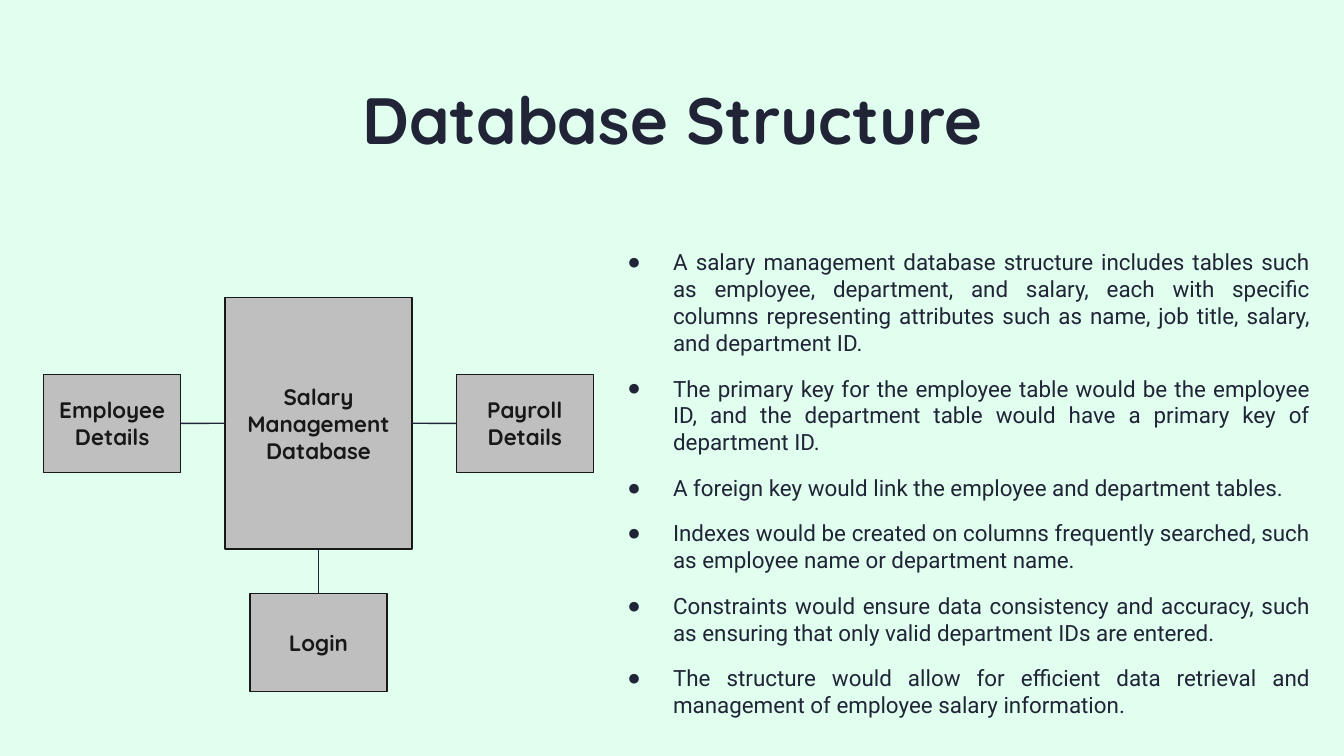
from lxml import etree
from pptx import Presentation
from pptx.dml.color import RGBColor
from pptx.enum.shapes import MSO_CONNECTOR, MSO_SHAPE
from pptx.enum.text import MSO_ANCHOR, PP_ALIGN
from pptx.oxml.ns import qn
from pptx.util import Inches, Pt

RECTANGLE = MSO_SHAPE.RECTANGLE
STRAIGHT = MSO_CONNECTOR.STRAIGHT
MIDDLE = MSO_ANCHOR.MIDDLE
CENTER, JUSTIFY = PP_ALIGN.CENTER, PP_ALIGN.JUSTIFY

MINT = RGBColor(0xE0, 0xFF, 0xEE)
NAVY = RGBColor(0x21, 0x24, 0x37)
GREY = RGBColor(0xBF, 0xBF, 0xBF)
BLACK = RGBColor(0x18, 0x18, 0x18)
HEADING_FONT, BODY_FONT, BULLET_FONT = "Quicksand", "Roboto", "Arial"

TITLE = "Database Structure"
NOTES = [
    "A salary management database structure includes tables such as employee, department, and salary, "
    "each with specific columns representing attributes such as name, job title, salary, and department ID.",
    "The primary key for the employee table would be the employee ID, and the department table "
    "would have a primary key of department ID.",
    "A foreign key would link the employee and department tables.",
    "Indexes would be created on columns frequently searched, such as employee name or department name.",
    "Constraints would ensure data consistency and accuracy, such as ensuring that only valid "
    "department IDs are entered.",
    "The structure would allow for efficient data retrieval and management of employee salary information.",
]
HUB = "Salary Management Database"
TOP_SITE, LEFT_SITE, BOTTOM_SITE, RIGHT_SITE = range(4)
SATELLITES = [
    ("Employee Details", -1, 0, LEFT_SITE, RIGHT_SITE),
    ("Payroll Details", 1, 0, RIGHT_SITE, LEFT_SITE),
    ("Login", 0, 1, BOTTOM_SITE, TOP_SITE),
]
HUB_CENTER_X, HUB_CENTER_Y = 2.37, 3.15
HUB_WIDTH, HUB_HEIGHT = 1.39, 1.87
NODE_WIDTH, NODE_HEIGHT = 1.02, 0.73
GAP = 0.33


def style(para, font, size, color, align, bold=False):
    para.alignment = align
    para.font.name = font
    para.font.size = Pt(size)
    para.font.color.rgb = color
    para.font.bold = bold


def add_text_box(page, left, top, width, height):
    box = page.shapes.add_textbox(Inches(left), Inches(top), Inches(width), Inches(height))
    box.text_frame.word_wrap = True
    return box.text_frame


def add_bullet(para):
    props = para._p.get_or_add_pPr()
    props.set("marL", str(Inches(0.5)))
    props.set("indent", str(Inches(-0.34)))
    color = etree.SubElement(props, qn("a:buClr"))
    etree.SubElement(color, qn("a:srgbClr")).set("val", str(NAVY))
    etree.SubElement(props, qn("a:buFont")).set("typeface", BULLET_FONT)
    etree.SubElement(props, qn("a:buChar")).set("char", "●")


def add_node(page, label, center_x, center_y, width, height):
    node = page.shapes.add_shape(
        RECTANGLE, Inches(center_x - width / 2), Inches(center_y - height / 2),
        Inches(width), Inches(height))
    node.shadow.inherit = False
    node.fill.solid()
    node.fill.fore_color.rgb = GREY
    node.line.color.rgb = BLACK
    node.line.width = Pt(0.75)
    frame = node.text_frame
    frame.word_wrap = True
    frame.vertical_anchor = MIDDLE
    frame.margin_left = frame.margin_right = Inches(0.1)
    frame.margin_top = frame.margin_bottom = Inches(0.1)
    frame.text = label
    style(frame.paragraphs[0], HEADING_FONT, 12, BLACK, CENTER, bold=True)
    return node


def add_link(page, start, start_site, end, end_site):
    link = page.shapes.add_connector(STRAIGHT, 0, 0, 0, 0)
    link.begin_connect(start, start_site)
    link.end_connect(end, end_site)
    link.line.color.rgb = NAVY
    link.line.width = Pt(0.75)
    etree.SubElement(link._element.spPr, qn("a:effectLst"))


def add_title(page):
    frame = add_text_box(page, 0.79, 0.49, 8.43, 0.63)
    frame.margin_top = frame.margin_bottom = Inches(0.1)
    frame.text = TITLE
    style(frame.paragraphs[0], HEADING_FONT, 35, NAVY, CENTER, bold=True)


def add_notes(page):
    frame = add_text_box(page, 4.41, 1.8, 5.44, 3.63)
    for index, note in enumerate(NOTES):
        para = frame.add_paragraph() if index else frame.paragraphs[0]
        para.text = note
        para.space_before = Pt(10)
        add_bullet(para)
        style(para, BODY_FONT, 12, NAVY, JUSTIFY)


def add_diagram(page):
    hub = add_node(page, HUB, HUB_CENTER_X, HUB_CENTER_Y, HUB_WIDTH, HUB_HEIGHT)
    step_x = (HUB_WIDTH + NODE_WIDTH) / 2 + GAP
    step_y = (HUB_HEIGHT + NODE_HEIGHT) / 2 + GAP
    for label, across, down, hub_site, node_site in SATELLITES:
        node = add_node(page, label, HUB_CENTER_X + across * step_x,
                        HUB_CENTER_Y + down * step_y, NODE_WIDTH, NODE_HEIGHT)
        add_link(page, hub, hub_site, node, node_site)


def main():
    deck = Presentation()
    deck.slide_width = Inches(10)
    deck.slide_height = deck.slide_width * 9 // 16
    page = deck.slides.add_slide(deck.slide_layouts[6])
    page.background.fill.solid()
    page.background.fill.fore_color.rgb = MINT
    add_title(page)
    add_notes(page)
    add_diagram(page)
    deck.save("out.pptx")


if __name__ == "__main__":
    main()
